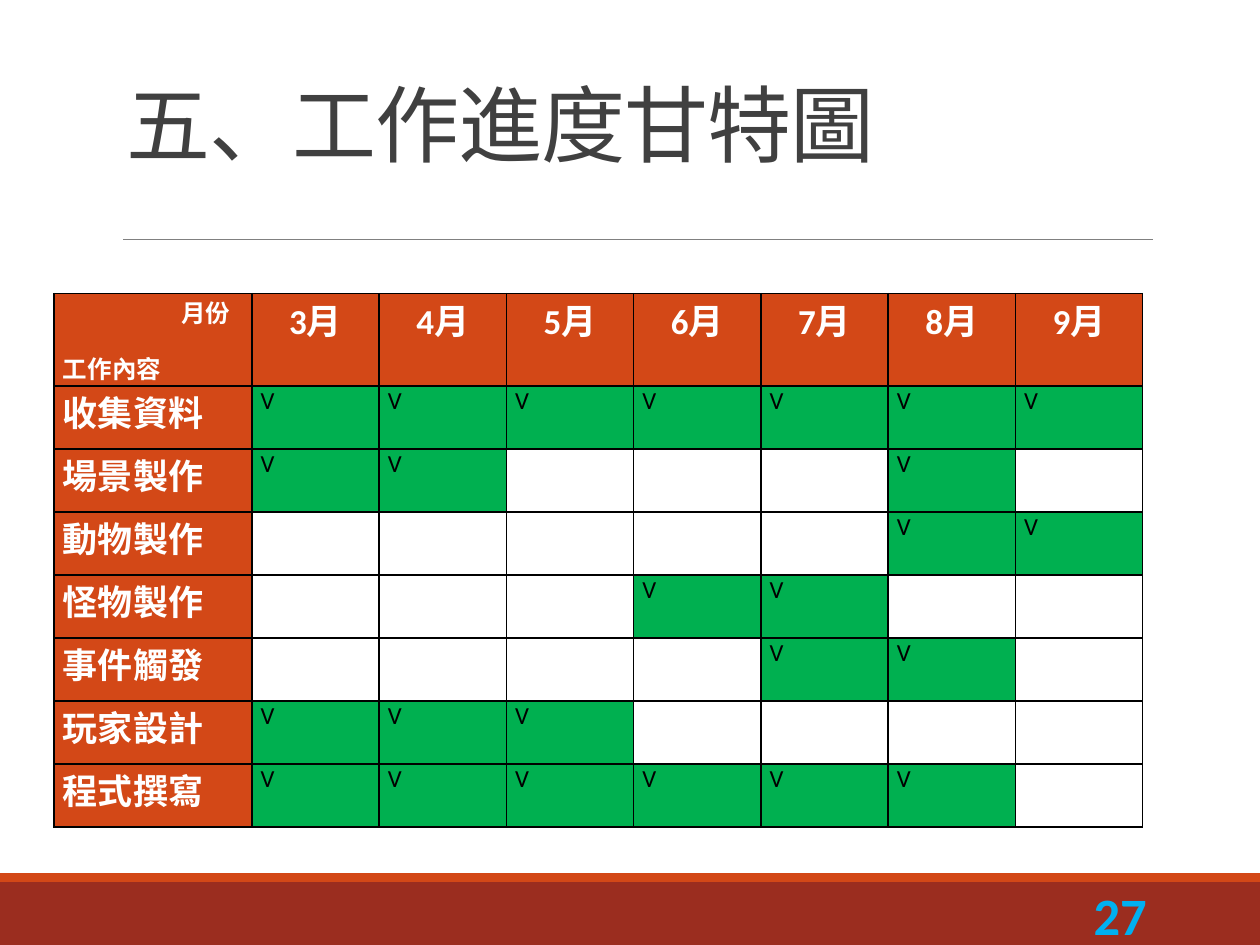
from lxml import etree
from pptx import Presentation, util as u
from pptx.dml.color import RGBColor
from pptx.enum import shapes, text
from pptx.oxml import ns

# Content
TITLE = "五、工作進度甘特圖"
PAGE_NUMBER = "27"
AXIS_LABELS = ("月份", "工作內容")
MONTHS = range(3, 10)
TASKS = [  # task, months in which it is worked on
    ("收集資料", (3, 4, 5, 6, 7, 8, 9)),
    ("場景製作", (3, 4, 8)),
    ("動物製作", (8, 9)),
    ("怪物製作", (6, 7)),
    ("事件觸發", (7, 8)),
    ("玩家設計", (3, 4, 5)),
    ("程式撰寫", (3, 4, 5, 6, 7, 8)),
]

# Look
ORANGE, RED, GREEN, BLUE = "D34817", "9B2D1F", "00B050", "00B0F0"
WHITE, BLACK, GREY, DARK = "FFFFFF", "000000", "808080", "404040"
LATIN, CJK = "Calibri", "Noto Sans CJK SC"
WIDTH, HEIGHT = 10, 7.5
TASK_WIDTH, MONTH_WIDTH = 1.57, 1.01
HEADER_HEIGHT, ROW_HEIGHT = 0.71, 0.5


def color(value):
    return RGBColor.from_string(value)


def box(*lengths):
    return [u.Inches(length) for length in lengths]


def format_runs(paragraph, size, ink, bold=False, latin=LATIN):
    for run in paragraph.runs:
        run.font.size, run.font.bold, run.font.name = u.Pt(size), bold, latin
        run.font.color.rgb = color(ink)
        etree.SubElement(run.font._element, ns.qn("a:ea"), typeface=CJK)


def add_band(slide, top, height, fill):
    band = slide.shapes.add_shape(
        shapes.MSO_SHAPE.RECTANGLE, *box(0, top, WIDTH, height))
    band.shadow.inherit = False
    band.fill.solid()
    band.fill.fore_color.rgb = color(fill)
    band.line.fill.background()


def style_cell(cell, fill=None):
    cell.margin_left = cell.margin_right = u.Inches(0.07)
    cell.margin_top = cell.margin_bottom = 0
    properties = cell._tc.get_or_add_tcPr()
    for side in ("a:lnL", "a:lnR", "a:lnT", "a:lnB"):
        border = etree.SubElement(properties, ns.qn(side), w=str(u.Pt(1)))
        solid = etree.SubElement(border, ns.qn("a:solidFill"))
        etree.SubElement(solid, ns.qn("a:srgbClr"), val=BLACK)
    if fill:
        cell.fill.solid()
        cell.fill.fore_color.rgb = color(fill)
    else:
        cell.fill.background()


def fill_cell(cell, words, fill, size, ink, bold=True, align=text.PP_ALIGN.LEFT):
    style_cell(cell, fill)
    cell.text_frame.text = words
    for paragraph in cell.text_frame.paragraphs:
        paragraph.alignment = align
        format_runs(paragraph, size, ink, bold)


def add_schedule(slide):
    width = TASK_WIDTH + MONTH_WIDTH * len(MONTHS)
    height = HEADER_HEIGHT + ROW_HEIGHT * len(TASKS)
    table = slide.shapes.add_table(
        len(TASKS) + 1, len(MONTHS) + 1, *box(0.43, 2.33, width, height)).table
    table.horz_banding = False
    for index, column in enumerate(table.columns):
        column.width = u.Inches(MONTH_WIDTH if index else TASK_WIDTH)
    for index, row in enumerate(table.rows):
        row.height = u.Inches(ROW_HEIGHT if index else HEADER_HEIGHT)

    # Header row: the corner names both axes
    corner = table.cell(0, 0)
    fill_cell(corner, "\n".join(AXIS_LABELS), ORANGE, 14, WHITE)
    month_label, task_label = corner.text_frame.paragraphs
    month_label._p.get_or_add_pPr().set("marL", str(u.Inches(0.94)))
    task_label.space_before = u.Pt(12)
    for column, month in enumerate(MONTHS, 1):
        fill_cell(table.cell(0, column), f"{month}月", ORANGE, 20, WHITE,
                  align=text.PP_ALIGN.CENTER)

    # One row per task
    for row, (task, active_months) in enumerate(TASKS, 1):
        fill_cell(table.cell(row, 0), task, ORANGE, 20, WHITE)
        for column, month in enumerate(MONTHS, 1):
            cell = table.cell(row, column)
            if month in active_months:
                fill_cell(cell, "V", GREEN, 14, BLACK, bold=False)
            else:
                style_cell(cell)


def main():
    presentation = Presentation()
    presentation.slide_width, presentation.slide_height = box(WIDTH, HEIGHT)
    slide = presentation.slides.add_slide(presentation.slide_layouts[5])

    # Footer bands and rule under the title
    add_band(slide, 7, 0.5, RED)
    add_band(slide, 6.93, 0.07, ORANGE)
    rule = slide.shapes.add_connector(
        shapes.MSO_CONNECTOR.STRAIGHT, *box(0.98, 1.9, 9.15, 1.9))
    rule.line.color.rgb = color(GREY)
    rule.line.width = u.Pt(0.5)
    etree.SubElement(rule._element.spPr, ns.qn("a:effectLst"))

    # Title
    title = slide.shapes.title
    title.left, title.top, title.width, title.height = box(0.9, 0.44, 8.25, 0.99)
    title.text_frame.text = TITLE
    title.text_frame.vertical_anchor = text.MSO_ANCHOR.BOTTOM
    title.text_frame.auto_size = text.MSO_AUTO_SIZE.NONE
    heading = title.text_frame.paragraphs[0]
    heading.alignment = text.PP_ALIGN.LEFT
    heading.line_spacing = 0.85
    format_runs(heading, 48, DARK, latin=CJK)
    heading.runs[0].font._element.set("spc", "-50")

    add_schedule(slide)

    # Page number
    number = slide.shapes.add_textbox(*box(8.12, 7.06, 1.08, 0.4)).text_frame
    number.word_wrap = True
    number.vertical_anchor = text.MSO_ANCHOR.MIDDLE
    number.text = PAGE_NUMBER
    number.paragraphs[0].alignment = text.PP_ALIGN.RIGHT
    format_runs(number.paragraphs[0], 30, BLUE, bold=True)

    presentation.save("out.pptx")


if __name__ == "__main__":
    main()
